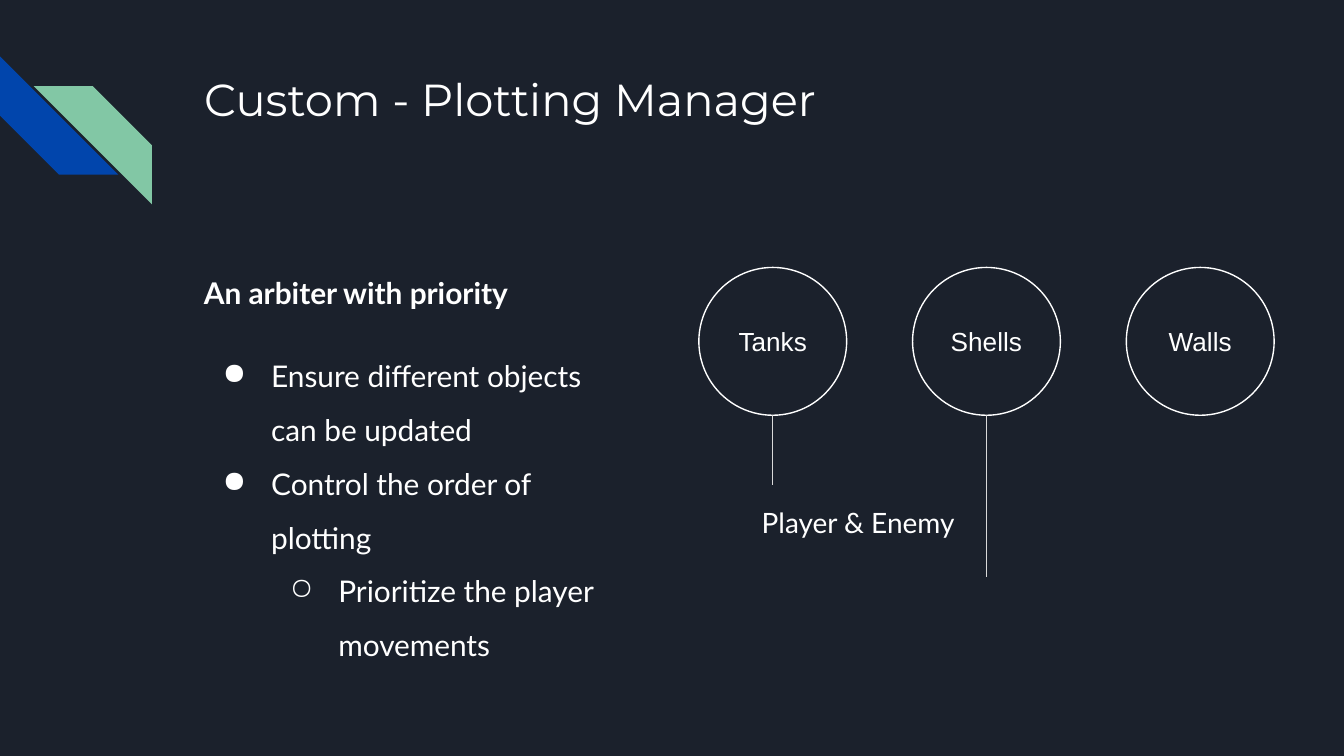
from typing import NamedTuple

from lxml.etree import SubElement
from pptx import Presentation
from pptx.dml.color import RGBColor
from pptx.enum.shapes import MSO_CONNECTOR, MSO_SHAPE
from pptx.enum.text import MSO_ANCHOR, MSO_AUTO_SIZE, PP_ALIGN
from pptx.oxml.ns import qn
from pptx.util import Pt

COLORS = {
    "background": "1B212C",
    "blue": "0145AC",
    "green": "82C7A5",
    "text": "FFFFFF",
    "connector": "D9D9D9",
}
INSET = 7.2
CIRCLE_LEFT, CIRCLE_TOP, CIRCLE_SIZE, CIRCLE_STEP = 374.4, 143.3, 79.2, 114.5


class Stripe(NamedTuple):
    left: float
    top: float
    color: str
    rotation: float
    mirrored: bool


class Category(NamedTuple):
    name: str
    stem: float  # length of the line below the circle


class Line(NamedTuple):
    text: str
    bold: bool = False
    level: int = 0
    bullet: str = ""
    indent: float = 0
    space_before: float = 0


STRIPES = [
    Stripe(0, 30.2, "blue", 270, False),
    Stripe(18, 46.1, "green", 0, True),
]
CATEGORIES = [Category("Tanks", 37.4), Category("Shells", 86.4), Category("Walls", 0)]
LINES = [
    Line("An arbiter with priority", bold=True),
    Line("Ensure different objects can be updated", bullet="●", indent=36, space_before=16),
    Line("Control the order of plotting", bullet="●", indent=36),
    Line("Prioritize the player movements", level=1, bullet="○", indent=72),
]


def color(name: str) -> RGBColor:
    return RGBColor.from_string(COLORS[name])


def set_frame(frame, anchor=MSO_ANCHOR.TOP) -> None:
    frame.word_wrap = True
    frame.auto_size = MSO_AUTO_SIZE.NONE
    frame.vertical_anchor = anchor
    frame.margin_left = frame.margin_right = Pt(INSET)
    frame.margin_top = frame.margin_bottom = Pt(INSET)


def add_span(para, text: str, font: str, size: float, bold: bool = False) -> None:
    span = para.add_run()
    span.text = text
    span.font.name = font
    span.font.size = Pt(size)
    span.font.bold = bold
    span.font.color.rgb = color("text")


def set_bullet(para, line: Line) -> None:
    properties = para._p.get_or_add_pPr()
    properties.set("marL", str(Pt(line.indent)))
    properties.set("indent", str(Pt(-26)))
    bullet_color = SubElement(properties, qn("a:buClr"))
    SubElement(bullet_color, qn("a:srgbClr"), val=COLORS["text"])
    SubElement(properties, qn("a:buChar"), char=line.bullet)


def add_stripe(page, stripe: Stripe) -> None:
    shape = page.shapes.add_shape(
        MSO_SHAPE.DIAGONAL_STRIPE, Pt(stripe.left), Pt(stripe.top), Pt(63.4), Pt(63.4)
    )
    shape.shadow.inherit = False
    shape.adjustments[0] = 0.5
    shape.rotation = stripe.rotation
    if stripe.mirrored:
        shape._element.spPr.xfrm.set("flipH", "1")
    shape.fill.solid()
    shape.fill.fore_color.rgb = color(stripe.color)
    shape.line.fill.background()


def add_title(page, text: str) -> None:
    title = page.shapes.title
    title.left, title.top, title.width, title.height = Pt(102.2), Pt(31), Pt(351.4), Pt(46)
    set_frame(title.text_frame)
    para = title.text_frame.paragraphs[0]
    para.alignment = PP_ALIGN.LEFT
    para.line_spacing = 1.0
    add_span(para, text, "Montserrat", 24)


def add_category(page, category: Category, left: float) -> None:
    """Draw a labelled circle and, where it has one, the line below it."""
    circle = page.shapes.add_shape(
        MSO_SHAPE.OVAL, Pt(left), Pt(CIRCLE_TOP), Pt(CIRCLE_SIZE), Pt(CIRCLE_SIZE)
    )
    circle.shadow.inherit = False
    circle.fill.background()
    circle.line.color.rgb = color("text")
    circle.line.width = Pt(0.75)
    set_frame(circle.text_frame, MSO_ANCHOR.MIDDLE)
    para = circle.text_frame.paragraphs[0]
    para.alignment = PP_ALIGN.CENTER
    add_span(para, category.name, "Arial", 14)
    if category.stem:
        center, bottom = left + CIRCLE_SIZE / 2, CIRCLE_TOP + CIRCLE_SIZE
        stem = page.shapes.add_connector(
            MSO_CONNECTOR.STRAIGHT, Pt(center), Pt(bottom), Pt(center), Pt(bottom + category.stem)
        )
        stem.line.color.rgb = color("connector")
        stem.line.width = Pt(0.75)
        SubElement(stem._element.spPr, qn("a:effectLst"))


def add_body(page, lines: list[Line]) -> None:
    box = page.shapes.add_textbox(Pt(102.2), Pt(130.3), Pt(226), Pt(216))
    frame = box.text_frame
    set_frame(frame)
    for index, line in enumerate(lines):
        para = frame.add_paragraph() if index else frame.paragraphs[0]
        para.level = line.level
        para.line_spacing = 1.5
        para.space_before = Pt(line.space_before)
        if line.bullet:
            set_bullet(para, line)
        add_span(para, line.text, "Lato", 16, line.bold)


def add_caption(page, text: str) -> None:
    box = page.shapes.add_textbox(Pt(389.5), Pt(263.5), Pt(144), Pt(23))
    set_frame(box.text_frame)
    para = box.text_frame.paragraphs[0]
    para.alignment = PP_ALIGN.CENTER
    add_span(para, text, "Lato", 15)


def main() -> None:
    deck = Presentation()
    deck.slide_width, deck.slide_height = Pt(720), Pt(405)
    page = deck.slides.add_slide(deck.slide_layouts[5])
    page.background.fill.solid()
    page.background.fill.fore_color.rgb = color("background")

    for stripe in STRIPES:
        add_stripe(page, stripe)
    add_title(page, "Custom - Plotting Manager")
    for index, category in enumerate(CATEGORIES):
        add_category(page, category, CIRCLE_LEFT + index * CIRCLE_STEP)
    add_body(page, LINES)
    add_caption(page, "Player & Enemy ")
    deck.save("out.pptx")


if __name__ == "__main__":
    main()
